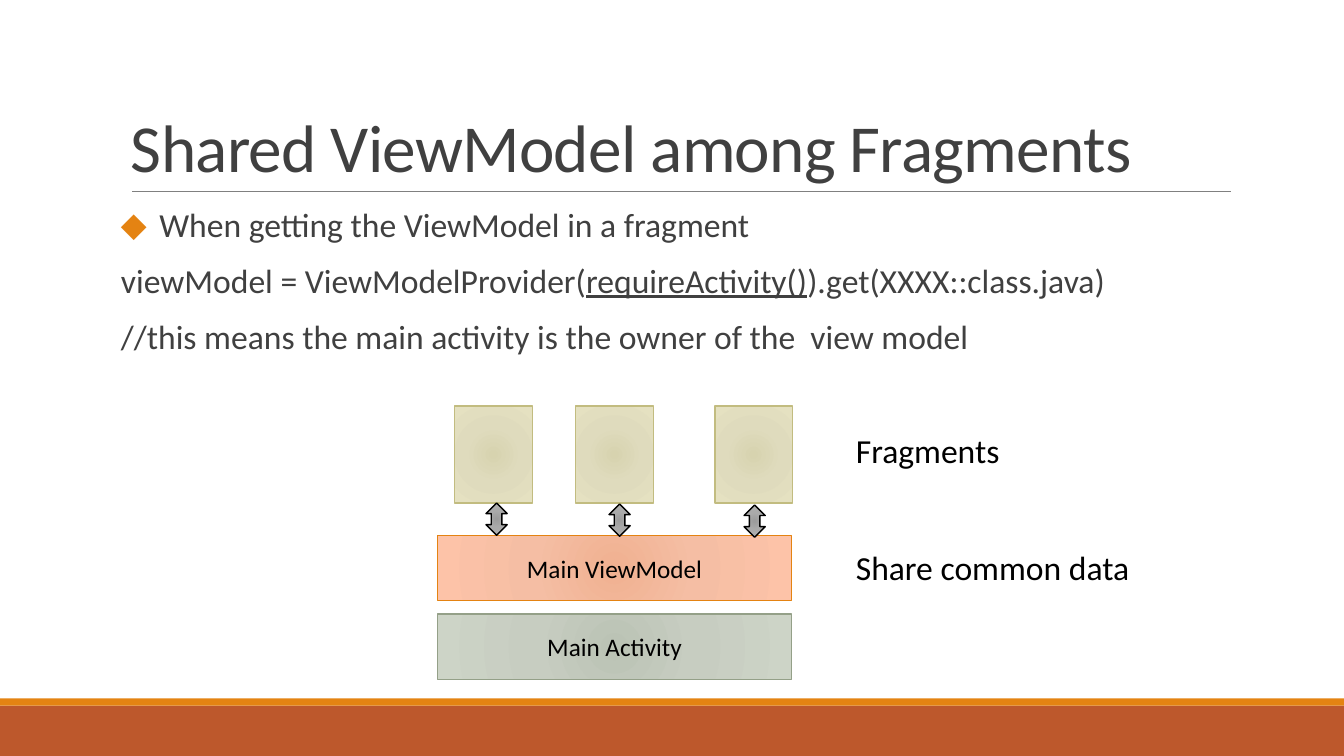
"""Build the slide on a view model shared among fragments."""
from pptx import Presentation
from pptx.dml.color import RGBColor
from pptx.enum.shapes import MSO_CONNECTOR, MSO_SHAPE
from pptx.enum.text import MSO_ANCHOR, MSO_AUTO_SIZE, PP_ALIGN
from pptx.oxml import parse_xml
from pptx.oxml.ns import nsdecls
from pptx.util import Inches, Pt

FONT = "Calibri"
BLACK = RGBColor(0x00, 0x00, 0x00)
DARK = RGBColor(0x40, 0x40, 0x40)
GRAY = RGBColor(0x80, 0x80, 0x80)
ORANGE = RGBColor(0xE4, 0x83, 0x12)
RUST = RGBColor(0xBD, 0x58, 0x2C)
SAGE = RGBColor(0x94, 0xA0, 0x88)
SAND = RGBColor(0xC2, 0xBC, 0x80)

PEACH_FADE = ("F0B191", "F5BEA4", "FDC3A8")
SAGE_FADE = ("BBC3B5", "C7CDC1", "CDD4C7")
SAND_FADE = ("D7D3AF", "DFDBBD", "E5E1C1")
GRAY_FADE = ("9C9C9C", "AAAAAA", "B4B4B4")

TITLE = "Shared ViewModel among Fragments"
BODY = [
    ["When getting the ViewModel in a fragment"],
    ["viewModel = ViewModelProvider(", "requireActivity()", ").get(XXXX::class.java)"],
    ["//this means the main activity is the owner of the  view model"],
]
BANDS = [(7, 0.5, RUST), (6.93, 0.07, ORANGE)]
LAYERS = [
    ("Main ViewModel", 5.31, PEACH_FADE, ORANGE),
    ("Main Activity", 6.09, SAGE_FADE, SAGE),
]
FRAGMENTS = [4.51, 5.71, 7.09]
ARROWS = [(4.82, 4.99), (6.04, 5), (7.38, 5.01)]
LABELS = [("Fragments", 4.22, 1.64), ("Share common data", 5.38, 2.94)]

prs = Presentation()
prs.slide_width, prs.slide_height = Inches(13.33), Inches(7.5)
slide = prs.slides.add_slide(prs.slide_layouts[6])
shapes = slide.shapes


def style(para, size, color):
    for run in para.runs:
        run.font.name, run.font.size = FONT, Pt(size)
        run.font.color.rgb = color


def add_box(kind, *area):
    box = shapes.add_shape(kind, *map(Inches, area))
    box.shadow.inherit = False
    return box


def add_faded(kind, area, fade, edge):
    box = add_box(kind, *area)
    stops = "".join(
        f'<a:gs pos="{pos}"><a:srgbClr val="{tone}"/></a:gs>'
        for pos, tone in zip((0, 45000, 100000), fade)
    )
    box.fill.background()
    solid = box.element.spPr.find("{*}noFill")
    solid.getparent().replace(solid, parse_xml(
        f'<a:gradFill {nsdecls("a")} rotWithShape="1"><a:gsLst>{stops}</a:gsLst>'
        '<a:path path="circle"><a:fillToRect l="100000" t="100000" '
        'r="100000" b="100000"/></a:path></a:gradFill>'))
    box.line.color.rgb, box.line.width = edge, Pt(1)
    return box


def add_frame(*area):
    frame = shapes.add_textbox(*map(Inches, area)).text_frame
    frame.word_wrap = True
    return frame


for top, height, color in BANDS:
    band = add_box(MSO_SHAPE.RECTANGLE, 0, top, 13.33, height)
    band.fill.solid()
    band.fill.fore_color.rgb = color
    band.line.fill.background()

rule = shapes.add_connector(
    MSO_CONNECTOR.STRAIGHT, *map(Inches, (1.31, 1.9, 12.21, 1.9)))
rule.line.color.rgb, rule.line.width = GRAY, Pt(0.5)
rule.element.spPr.append(parse_xml(f'<a:effectLst {nsdecls("a")}/>'))

title = add_frame(1.2, 0.31, 11, 1.59)
title.vertical_anchor = MSO_ANCHOR.BOTTOM
title.text = TITLE
head = title.paragraphs[0]
head.line_spacing = 0.85
style(head, 48, DARK)
head.runs[0].font._element.set("spc", "-50")

body = add_frame(1.2, 2.02, 11, 4.4)
body.margin_left = body.margin_right = 0
for row, parts in enumerate(BODY):
    para = body.add_paragraph() if row else body.paragraphs[0]
    for part in parts:
        para.add_run().text = part
    para.line_spacing, para.space_after = 0.9, Pt(2)
    para.space_before = Pt(12 if row else 0)
    style(para, 24, DARK)
body.paragraphs[1].runs[1].font.underline = True
props = body.paragraphs[0]._p.get_or_add_pPr()
props.set("marL", str(Inches(0.38)))
props.set("indent", str(Inches(-0.38)))
for item in (f'buClr {nsdecls("a")}><a:srgbClr val="{ORANGE}"/></a:buClr>',
             f'buFont {nsdecls("a")} typeface="{FONT}"/>',
             f'buChar {nsdecls("a")} char="◆"/>'):
    props.append(parse_xml("<a:" + item))

for name, top, fade, edge in LAYERS:
    layer = add_faded(MSO_SHAPE.RECTANGLE, (4.34, top, 3.51, 0.65), fade, edge)
    frame = layer.text_frame
    frame.text = name
    frame.vertical_anchor = MSO_ANCHOR.MIDDLE
    frame.paragraphs[0].alignment = PP_ALIGN.CENTER
    style(frame.paragraphs[0], 18, BLACK)

for left in FRAGMENTS:
    add_faded(MSO_SHAPE.RECTANGLE, (left, 4.03, 0.77, 0.96), SAND_FADE, SAND)
for left, top in ARROWS:
    add_faded(MSO_SHAPE.UP_DOWN_ARROW, (left, top, 0.21, 0.32), GRAY_FADE, BLACK)

for text, top, width in LABELS:
    label = add_frame(8.39, top, width, 0.5)
    label.word_wrap = False
    label.auto_size = MSO_AUTO_SIZE.SHAPE_TO_FIT_TEXT
    label.text = text
    style(label.paragraphs[0], 24, BLACK)

prs.save("out.pptx")
